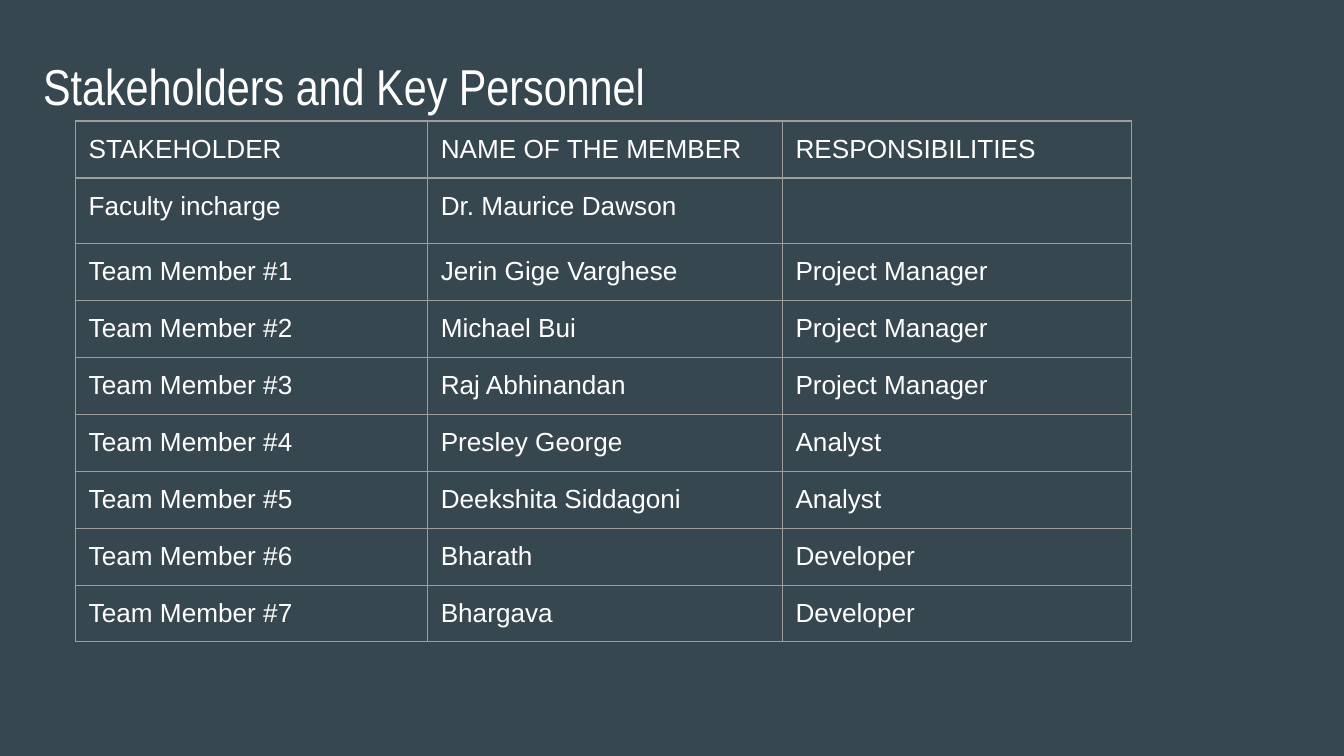
from lxml.etree import SubElement
from pptx import Presentation
from pptx.dml.color import RGBColor
from pptx.enum.text import MSO_ANCHOR, PP_ALIGN
from pptx.oxml.ns import qn
from pptx.util import Inches, Pt

COLORS = {"background": "37474F", "text": "FFFFFF", "border": "9E9E9E"}
TITLE = "Stakeholders and Key Personnel"
HEADER = ("STAKEHOLDER", "NAME OF THE MEMBER", "RESPONSIBILITIES")
FACULTY = ("Faculty incharge", "Dr. Maurice Dawson", "")
TEAM = [
    ("Jerin Gige Varghese", "Project Manager"),
    ("Michael Bui", "Project Manager"),
    ("Raj Abhinandan", "Project Manager"),
    ("Presley George", "Analyst"),
    ("Deekshita Siddagoni", "Analyst"),
    ("Bharath", "Developer"),
    ("Bhargava", "Developer"),
]
ROWS = [HEADER, FACULTY] + [
    (f"Team Member #{number}", *member) for number, member in enumerate(TEAM, 1)
]
COLUMN_WIDTHS = [Inches(width) for width in (2.62, 2.64, 2.6)]
ROW_HEIGHTS = [Pt(height) for height in [30.6, 35] + [30.6] * 5 + [30.2] * 2]
MARGIN = Inches(0.1)
BORDER_WIDTH = Pt(0.75)


def write_text(frame, text, *, size, font):
    para = frame.paragraphs[0]
    para.alignment = PP_ALIGN.LEFT
    if not text:
        # An empty cell takes its line height from the end-of-paragraph mark.
        SubElement(para._p, qn("a:endParaRPr"), sz=str(size * 100))
        return
    span = para.add_run()
    span.text = text
    span.font.size = Pt(size)
    span.font.name = font
    span.font.color.rgb = RGBColor.from_string(COLORS["text"])


def set_margins(target):
    target.margin_left = target.margin_right = MARGIN
    target.margin_top = target.margin_bottom = MARGIN


def add_borders(cell):
    properties = cell._tc.get_or_add_tcPr()
    for side in ("lnL", "lnR", "lnT", "lnB"):
        line = SubElement(properties, qn(f"a:{side}"), w=str(BORDER_WIDTH))
        fill = SubElement(line, qn("a:solidFill"))
        SubElement(fill, qn("a:srgbClr"), val=COLORS["border"])


def add_title(slide):
    title = slide.shapes.title
    title.left, title.top = Inches(0.22), Inches(0.31)
    title.width, title.height = Inches(9.32), Inches(0.6)
    frame = title.text_frame
    frame.word_wrap = True
    frame.vertical_anchor = MSO_ANCHOR.TOP
    set_margins(frame)
    write_text(frame, TITLE, size=27, font="Arial Narrow")


def add_stakeholder_table(slide):
    table = slide.shapes.add_table(
        len(ROWS), len(HEADER), Inches(0.56), Inches(0.9),
        sum(COLUMN_WIDTHS), sum(ROW_HEIGHTS),
    ).table
    table.first_row = table.horz_banding = False
    for column, width in zip(table.columns, COLUMN_WIDTHS):
        column.width = width
    for row, height, texts in zip(table.rows, ROW_HEIGHTS, ROWS):
        row.height = height
        for cell, text in zip(row.cells, texts):
            set_margins(cell)
            add_borders(cell)
            cell.fill.background()
            write_text(cell.text_frame, text, size=14, font="Arial")


def main():
    deck = Presentation()
    deck.slide_width = Inches(10)
    deck.slide_height = deck.slide_width * 9 // 16
    slide = deck.slides.add_slide(deck.slide_layouts[5])
    fill = slide.background.fill
    fill.solid()
    fill.fore_color.rgb = RGBColor.from_string(COLORS["background"])
    add_title(slide)
    add_stakeholder_table(slide)
    deck.save("out.pptx")


if __name__ == "__main__":
    main()
